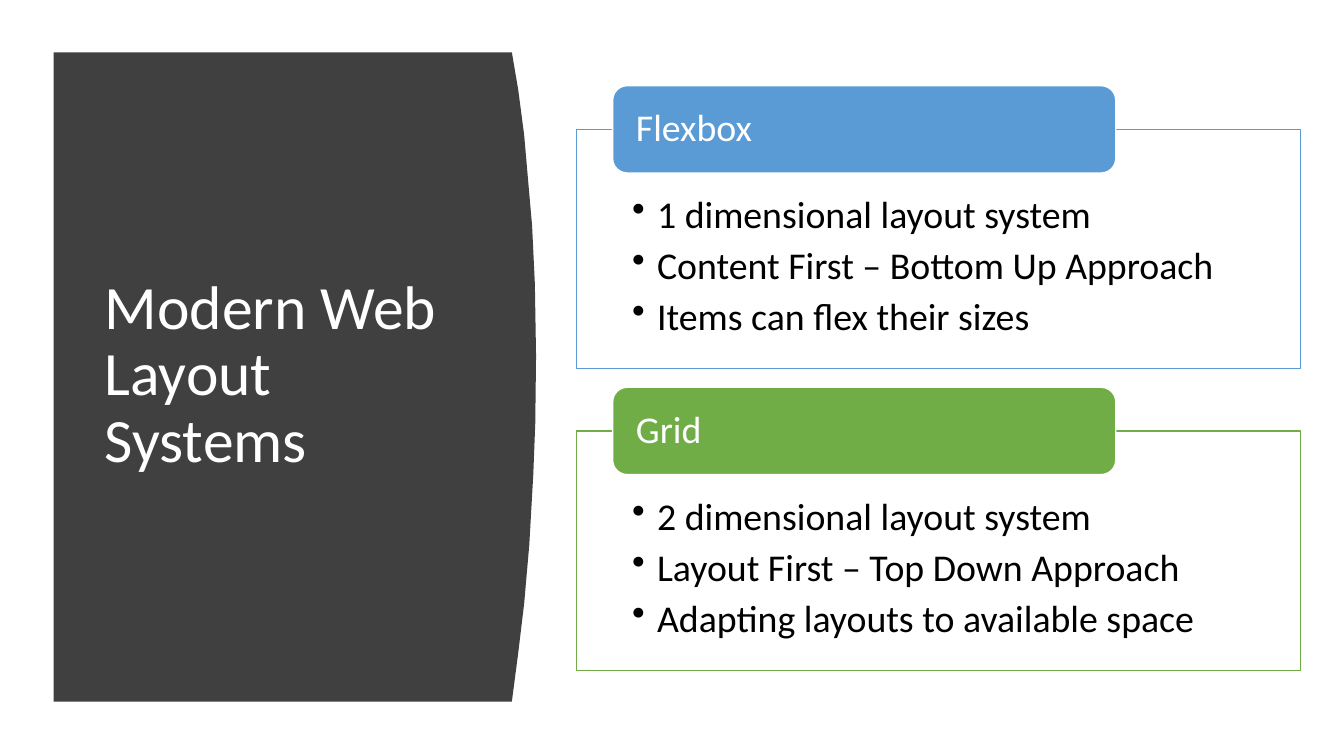
"""Build a slide that compares the Flexbox and Grid layout systems."""
import pptx
import pptx.dml.color
import pptx.enum.shapes
import pptx.enum.text
import pptx.oxml
import pptx.oxml.ns
import pptx.util

Cm = pptx.util.Cm
Pt = pptx.util.Pt
RGBColor = pptx.dml.color.RGBColor
Shapes = pptx.enum.shapes.MSO_SHAPE
Anchor = pptx.enum.text.MSO_ANCHOR
Align = pptx.enum.text.PP_ALIGN

WHITE = RGBColor(0xFF, 0xFF, 0xFF)
BLACK = RGBColor(0, 0, 0)
CHARCOAL = RGBColor(0x40, 0x40, 0x40)
BLUE = RGBColor(0x5B, 0x9B, 0xD5)
GREEN = RGBColor(0x70, 0xAD, 0x47)
FONT = "Calibri"

TITLE = "Modern Web Layout Systems"
SYSTEMS = [
    ("Flexbox", BLUE, [
        "1 dimensional layout system",
        "Content First – Bottom Up Approach",
        "Items can flex their sizes",
    ]),
    ("Grid", GREEN, [
        "2 dimensional layout system",
        "Layout First – Top Down Approach",
        "Adapting layouts to available space",
    ]),
]
PANEL_LEFT = 1.35
PANEL_CURVE = [
    (12.9, 1.32), (13.06, 2.26), (13.21, 3.4), (13.31, 4.55), (13.41, 5.69),
    (13.48, 7.16), (13.51, 8.97), (13.49, 10.67), (13.44, 11.96),
    (13.34, 13.72), (13.21, 15.21), (13.06, 16.46), (12.9, 17.68),
]
BOX_LEFT, BOX_TOP, BOX_WIDTH, BOX_HEIGHT = 14.53, 3.26, 18.25, 6.03
TAB_WIDTH, TAB_HEIGHT = 12.68, 2.2
TAB_INDENT, TAB_RISE = 0.91, 1.1
PITCH = 7.6


def paint(shape, fill, line=None):
    shape.shadow.inherit = False
    shape.fill.solid()
    shape.fill.fore_color.rgb = fill
    if line is None:
        shape.line.fill.background()
    else:
        shape.line.color.rgb = line
        shape.line.width = Pt(1)


def write(shape, lines, size, color, anchor, insets, spacing=1.0, after=0, bullets=False):
    frame = shape.text_frame
    frame.word_wrap = True
    frame.vertical_anchor = anchor
    (frame.margin_left, frame.margin_top,
     frame.margin_right, frame.margin_bottom) = [Cm(inset) for inset in insets]
    frame.text = "\n".join(lines)
    for paragraph in frame.paragraphs:
        if bullets:
            properties = paragraph._p.get_or_add_pPr()
            properties.set("marL", str(Cm(0.63)))
            properties.set("indent", str(-Cm(0.63)))
            properties.append(pptx.oxml.parse_xml(
                f'<a:buChar {pptx.oxml.ns.nsdecls("a")} char="•"/>'))
        paragraph.alignment = Align.LEFT
        paragraph.line_spacing = spacing
        paragraph.space_after = Pt(after)
        paragraph.font.name = FONT
        paragraph.font.size = Pt(size)
        paragraph.font.color.rgb = color


def add_panel(slide):
    outline = [(PANEL_LEFT, PANEL_CURVE[0][1]), *PANEL_CURVE,
               (PANEL_LEFT, PANEL_CURVE[-1][1])]
    points = [(Cm(x), Cm(y)) for x, y in outline]
    builder = slide.shapes.build_freeform(*points[0])
    builder.add_line_segments(points[1:], close=True)
    paint(builder.convert_to_shape(), CHARCOAL)
    title = slide.shapes.add_textbox(Cm(2.39), Cm(2.82), Cm(9.5), Cm(13.31))
    write(title, [TITLE], 44, WHITE, Anchor.MIDDLE, (0.25, 0.13, 0.25, 0.13), spacing=0.9)


def add_system(slide, top, name, color, features):
    box = slide.shapes.add_shape(
        Shapes.RECTANGLE, Cm(BOX_LEFT), Cm(top), Cm(BOX_WIDTH), Cm(BOX_HEIGHT))
    paint(box, WHITE, color)
    write(box, features, 27, BLACK, Anchor.TOP, (1.4, 1.55, 1.4, 0.53),
          after=4, bullets=True)
    tab = slide.shapes.add_shape(
        Shapes.ROUNDED_RECTANGLE, Cm(BOX_LEFT + TAB_INDENT), Cm(top - TAB_RISE),
        Cm(TAB_WIDTH), Cm(TAB_HEIGHT))
    paint(tab, color, WHITE)
    write(tab, [name], 27, WHITE, Anchor.MIDDLE, (0.48, 0, 0.48, 0), spacing=0.9)


def main():
    presentation = pptx.Presentation()
    presentation.slide_width = Cm(33.87)
    presentation.slide_height = Cm(19.05)
    slide = presentation.slides.add_slide(presentation.slide_layouts[6])
    add_panel(slide)
    for index, system in enumerate(SYSTEMS):
        add_system(slide, BOX_TOP + index * PITCH, *system)
    presentation.save("out.pptx")


if __name__ == "__main__":
    main()
